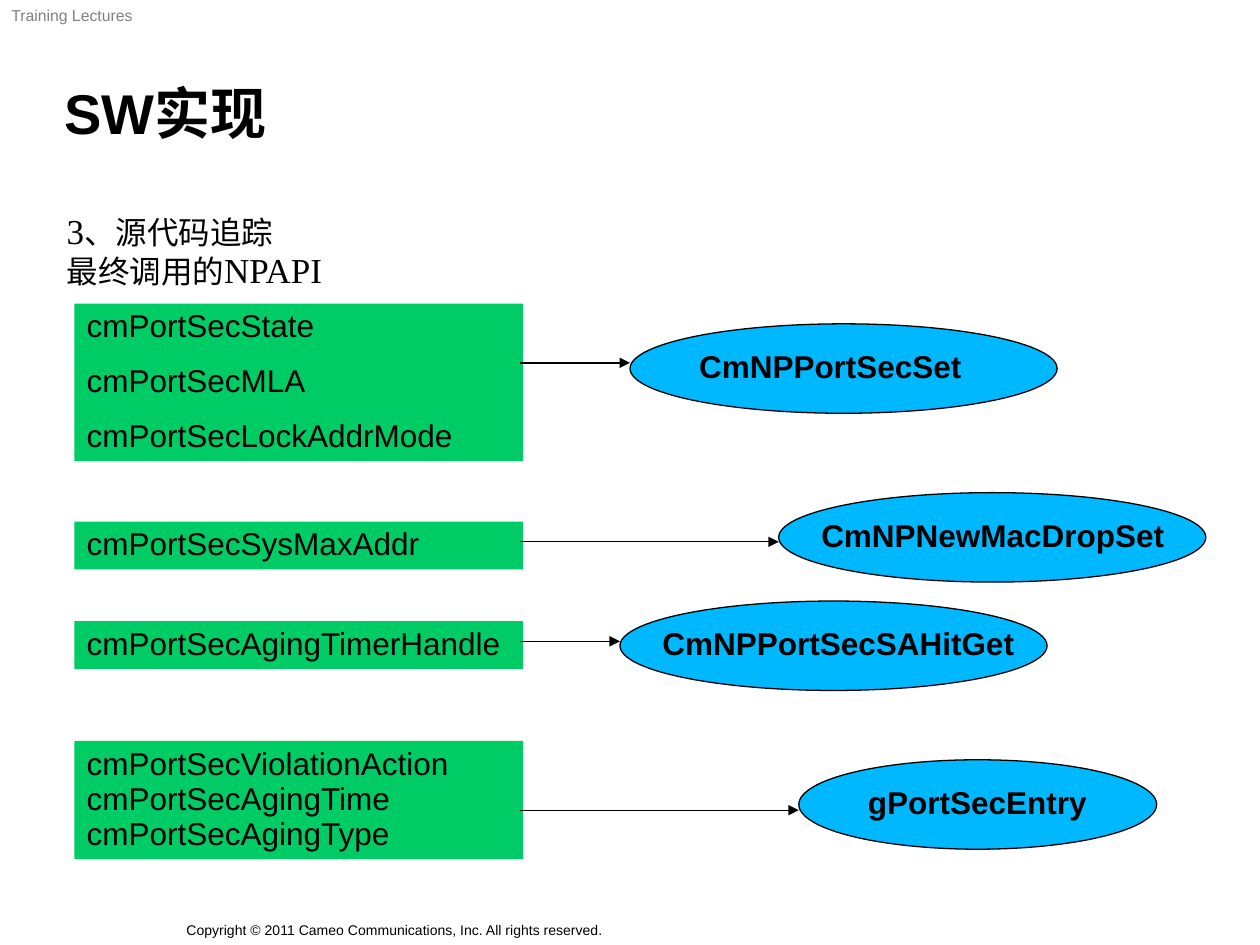
from lxml.etree import SubElement
from pptx import Presentation
from pptx.dml.color import RGBColor
from pptx.enum.shapes import MSO_CONNECTOR, MSO_SHAPE
from pptx.enum.text import MSO_ANCHOR, PP_ALIGN
from pptx.oxml.ns import qn
from pptx.util import Inches, Pt

BLACK = RGBColor(0x00, 0x00, 0x00)
GRAY = RGBColor(0x80, 0x80, 0x80)
GREEN = RGBColor(0x00, 0xCC, 0x66)
BLUE = RGBColor(0x00, 0xB8, 0xFF)
LATIN, SERIF = "Arial", "Times New Roman"
SOURCE_X, SOURCE_W, ARROW_X = 0.59, 3.56, 4.13
OVAL_H, LABEL_H = 0.71, 0.38


def set_frame(tf, insets=(0.1, 0.05, 0.1, 0.05), anchor=MSO_ANCHOR.TOP, wrap=True):
    """Set the insets, anchor and wrapping of a text frame."""
    tf.margin_left, tf.margin_top, tf.margin_right, tf.margin_bottom = map(Inches, insets)
    tf.vertical_anchor = anchor
    tf.word_wrap = wrap


def add_paragraph(tf, runs, font=LATIN, color=BLACK, bold=False, spacing=0.93, before=0):
    """Write one paragraph from (text, size) runs."""
    first = not tf.paragraphs[0].runs
    p = tf.paragraphs[0] if first else tf.add_paragraph()
    p.alignment = PP_ALIGN.LEFT
    p.line_spacing = spacing
    p.space_before = Pt(0 if first else before)
    for text, size in runs:
        r = p.add_run()
        r.text = text
        r.font.name = font
        r.font.size = Pt(size)
        r.font.bold = bold
        r.font.color.rgb = color


def add_text(s, box, **frame):
    """Add a text box and return its frame."""
    tf = s.shapes.add_textbox(*map(Inches, box)).text_frame
    set_frame(tf, **frame)
    return tf


def add_filled(s, kind, box, fill):
    """Add a flat shape without an outline."""
    sp = s.shapes.add_shape(kind, *map(Inches, box))
    sp.shadow.inherit = False
    sp.fill.solid()
    sp.fill.fore_color.rgb = fill
    sp.line.fill.background()
    return sp


def add_arrow(s, x1, x2, y):
    """Add a level arrow from x1 to x2."""
    line = s.shapes.add_connector(MSO_CONNECTOR.STRAIGHT, *map(Inches, (x1, y, x2, y)))
    line.line.color.rgb = BLACK
    line.line.width = Pt(0.75)
    SubElement(line.line._get_or_add_ln(), qn("a:tailEnd"), type="triangle")
    SubElement(line._element.spPr, qn("a:effectLst"))


def add_header(s, box):
    """Place the running head and the title."""
    x, y, w, h = box
    slim = (0.09, 0.04, 0.09, 0.04)
    tf = add_text(s, (x, y, 2.07, 0.24), insets=slim, anchor=MSO_ANCHOR.BOTTOM)
    add_paragraph(tf, [("Training Lectures", 9)], color=GRAY, spacing=1)
    tf = add_text(s, (x + 0.42, y + 0.28, w - 0.67, h - 0.28),
                  insets=slim, anchor=MSO_ANCHOR.BOTTOM)
    add_paragraph(tf, [("SW实现", 32)], bold=True, spacing=0.9)


def add_intro(s, box):
    """Place the two introductory lines."""
    tf = add_text(s, box, insets=(0.1, 0.07, 0.1, 0.05))
    add_paragraph(tf, [("3", 20), ("、源代码追踪", 18)], font=SERIF)
    add_paragraph(tf, [("最终调用的", 18), ("NPAPI", 20)], font=SERIF)


def add_call(s, box, names, before, arrow_y, oval, label, target):
    """Place a source box, its target oval with label, and the arrow between."""
    oval_x, oval_y, oval_w = oval
    sp = add_filled(s, MSO_SHAPE.OVAL, (oval_x, oval_y, oval_w, OVAL_H), BLUE)
    sp.line.color.rgb = BLACK
    sp.line.width = Pt(0.75)
    source = add_filled(s, MSO_SHAPE.RECTANGLE, box, GREEN)
    set_frame(source.text_frame)
    for name in names:
        add_paragraph(source.text_frame, [(name, 18)], before=before)
    tf = add_text(s, (*label, LABEL_H))
    add_paragraph(tf, [(target, 18)], bold=True)
    add_arrow(s, ARROW_X, oval_x, arrow_y)


def add_footer(s, box):
    """Place the copyright line."""
    tf = add_text(s, box, insets=(0.09, 0.04, 0.09, 0.04),
                  anchor=MSO_ANCHOR.BOTTOM, wrap=False)
    add_paragraph(tf, [("Copyright © 2011 Cameo Communications, Inc. All rights reserved.", 8)],
                  spacing=1)


def main():
    """Build the slide and save it."""
    prs = Presentation()
    prs.slide_width, prs.slide_height = Inches(10), Inches(7.5)
    s = prs.slides.add_slide(prs.slide_layouts[6])
    add_footer(s, (1.39, 7.27, 3.5, 0.22))
    add_header(s, (0, 0, 10, 1.2))
    add_intro(s, (0.43, 1.62, 8.74, 0.71))
    calls = [
        (2.41, 1.25, ["cmPortSecState", "cmPortSecMLA", "cmPortSecLockAddrMode"], 11.2,
         2.88, (5, 2.57, 3.39), (5.45, 2.73, 2.78), "CmNPPortSecSet"),
        (4.14, 0.38, ["cmPortSecSysMaxAddr"], 0,
         4.3, (6.18, 3.91, 3.39), (6.42, 4.07, 3.07), "CmNPNewMacDropSet"),
        (4.93, 0.38, ["cmPortSecAgingTimerHandle"], 0,
         5.09, (4.92, 4.77, 3.39), (5.16, 4.93, 3.07), "CmNPPortSecSAHitGet"),
        (5.88, 0.94, ["cmPortSecViolationAction", "cmPortSecAgingTime", "cmPortSecAgingType"], 0,
         6.43, (6.34, 6.03, 2.84), (6.79, 6.19, 2.78), "gPortSecEntry"),
    ]
    for y, h, *call in calls:
        add_call(s, (SOURCE_X, y, SOURCE_W, h), *call)
    prs.save("out.pptx")


if __name__ == "__main__":
    main()
